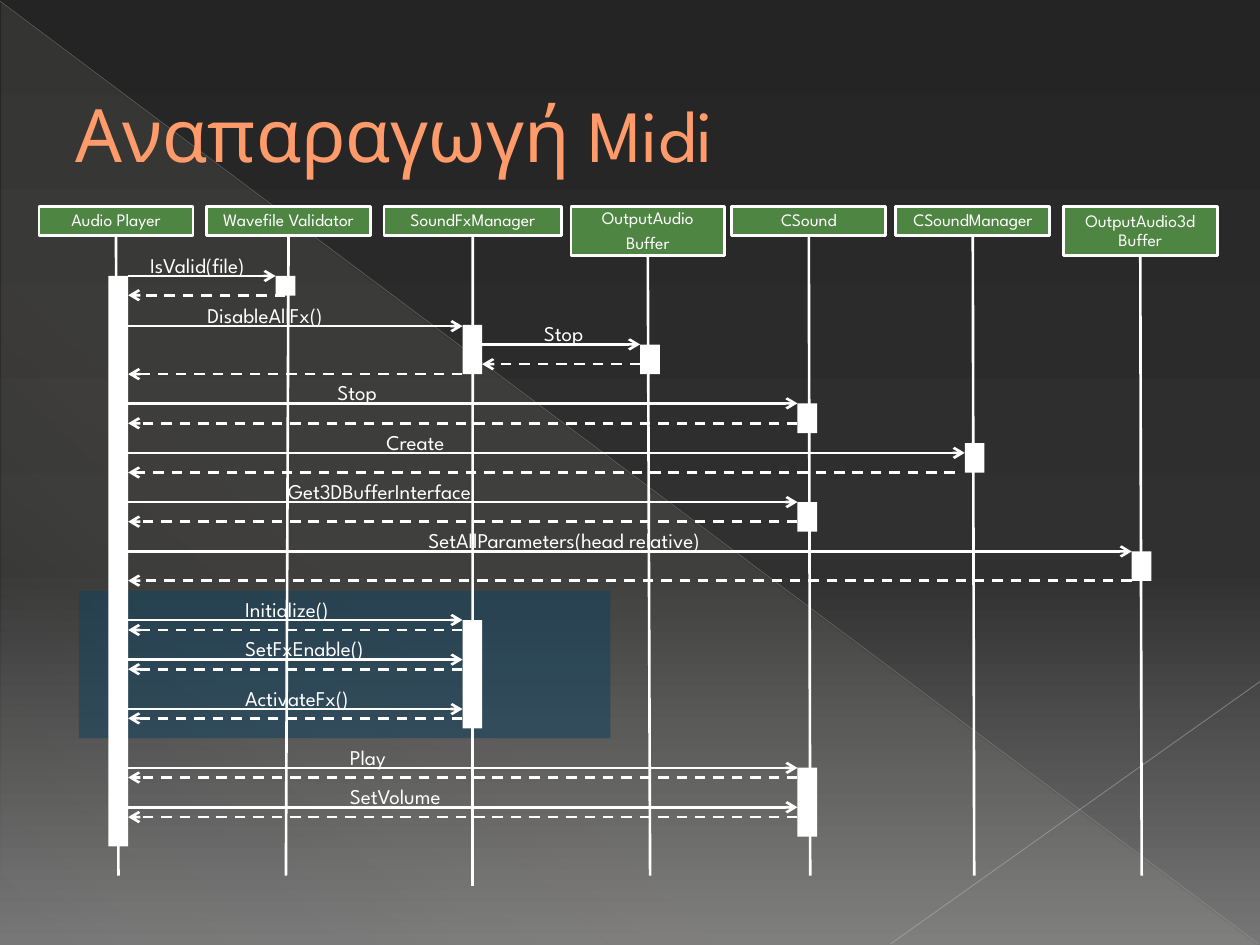
"""Sequence diagram of MIDI playback on a dark gradient slide."""
from dataclasses import dataclass
from lxml import etree
from pptx import Presentation
from pptx import util as u
from pptx.dml.color import RGBColor
from pptx.enum import dml, shapes, text
from pptx.oxml.ns import qn

COLORS = {"text": "FFFFFF", "title": "FF9B6A", "box": "4E8542", "panel": "14425D",
          "veil": "E3DED1", "diagonal": "B6B6B6", "corner": "BFBFBF",
          "top": "242424", "middle": "303030", "bottom": "767676"}
FONT = "League Spartan"
HEAD_TOP, BAR_W, LABEL_RISE, LABEL_H = 118.1, 11.25, 17, 21.6


@dataclass
class Participant:
    name: str
    left: float
    width: float
    bar_x: float
    foot_x: float
    bars: list[tuple[float, float]]
    height: float = 16.6
    foot_y: float = 500.4


@dataclass
class Message:
    label: str
    label_x: float
    label_w: float
    target: str
    y: float
    reply_y: float
    source: str = "player"
    start_shift: float = 0
    reply_shift: float = 0


PARTICIPANTS = {
    "player": Participant("Audio Player", 22.3, 88, 62, 67.7, [(157.7, 326)]),
    "validator": Participant("Wavefile Validator", 118.1, 93.6, 157.5, 163.4, [(157.7, 11.25)]),
    "fx": Participant("SoundFxManager", 219.5, 101.3, 264.3, 270,
                      [(185.7, 28.1), (354.4, 61.9)], foot_y=506.2),
    "buffer": Participant("OutputAudio\nBuffer", 326.2, 88, 365.8, 371.5,
                          [(196.9, 16.9)], height=28.1),
    "sound": Participant("CSound", 418.2, 88, 455.7, 463,
                         [(230.6, 16.9), (286.9, 16.9), (438.7, 39.4)]),
    "manager": Participant("CSoundManager", 511.9, 88, 551.3, 556.7, [(253.2, 16.9)]),
    "buffer3d": Participant("OutputAudio3d Buffer", 607.6, 88, 646.7, 652.4,
                            [(315.1, 16.9)], height=28.1),
}
MESSAGES = [
    Message("IsValid(file)", 78.7, 77, "validator", 157.7, 168.7, reply_shift=5.6),
    Message("DisableAllFx()", 111.4, 91.4, "fx", 186.4, 213.8),
    Message("Stop", 303.7, 41, "buffer", 196.8, 208.1, source="fx"),
    Message("Stop", 185.7, 56.2, "sound", 230.5, 241.9),
    Message("Create", 213.7, 56.2, "manager", 258.8, 270, reply_shift=-5.6),
    Message("Get3DBufferInterface", 157.5, 202.3, "sound", 286.9, 298.1),
    Message("SetAllParameters(head relative)", 237.7, 243.4, "buffer3d", 315.1, 331.8,
            start_shift=-5.6),
    Message("Initialize()", 133, 68.4, "fx", 354.3, 360),
    Message("SetFxEnable()", 133, 93.6, "fx", 376.9, 382.4),
    Message("ActivateFx()", 133, 85.7, "fx", 405.2, 410.5),
    Message("Play", 192.8, 38.9, "sound", 438.8, 444.3),
    Message("SetVolume", 192.8, 77.8, "sound", 461.3, 466.9),
]


def rgb(name: str) -> RGBColor:
    """Return a named colour."""
    return RGBColor.from_string(COLORS[name])


def add_alpha(el, percent: float) -> None:
    """Make every colour under an element translucent."""
    for clr in el.iter(qn("a:srgbClr")):
        etree.SubElement(clr, qn("a:alpha"), val=str(int(percent * 1000)))


def set_gradient(props, stops: list[tuple[int, str, int]], angle: int) -> None:
    """Replace the solid fill in a property element by a linear gradient."""
    grad = etree.Element(qn("a:gradFill"), rotWithShape="1")
    lst = etree.SubElement(grad, qn("a:gsLst"))
    for pos, color, opacity in stops:
        gs = etree.SubElement(lst, qn("a:gs"), pos=str(pos * 1000))
        etree.SubElement(gs, qn("a:srgbClr"), val=COLORS[color])
        if opacity < 100:
            add_alpha(gs, opacity)
    etree.SubElement(grad, qn("a:lin"), ang=str(angle * 60000), scaled="0")
    props.replace(props.find(qn("a:solidFill")), grad)


def add_block(s, x: float, y: float, w: float, h: float, fill: str,
              kind=shapes.MSO_SHAPE.RECTANGLE, line: str = ""):
    """Add a filled shape, outlined on request."""
    sp = s.shapes.add_shape(kind, u.Pt(x), u.Pt(y), u.Pt(w), u.Pt(h))
    sp.shadow.inherit = False
    sp.fill.solid()
    sp.fill.fore_color.rgb = rgb(fill)
    if line:
        sp.line.color.rgb = rgb(line)
        sp.line.width = u.Pt(1.5)
    else:
        sp.line.fill.background()
    return sp


def add_line(s, x1: float, y1: float, x2: float, y2: float, color: str = "text",
             width: float = 1.5, dashed: bool = False, arrow: bool = False,
             opacity: int = 100) -> None:
    """Add a straight line, optionally dashed, arrowed or translucent."""
    c = s.shapes.add_connector(shapes.MSO_CONNECTOR.STRAIGHT,
                               u.Pt(x1), u.Pt(y1), u.Pt(x2), u.Pt(y2))
    c.line.color.rgb = rgb(color)
    c.line.width = u.Pt(width)
    if dashed:
        c.line.dash_style = dml.MSO_LINE.DASH
    props = c._element.spPr
    ln = props.find(qn("a:ln"))
    if arrow:
        etree.SubElement(ln, qn("a:tailEnd"), type="arrow")
    if opacity < 100:
        add_alpha(ln, opacity)
    etree.SubElement(props, qn("a:effectLst"))


def write(sp, content: str, size: float, color: str = "text", align=text.PP_ALIGN.LEFT,
          anchor=text.MSO_ANCHOR.TOP, insets: tuple[float, float] = (7.2, 3.6),
          spacing: float = 1, after: float = 0) -> None:
    """Write formatted paragraphs into a shape."""
    tf = sp.text_frame
    tf.word_wrap = True
    tf.vertical_anchor = anchor
    tf.margin_left = tf.margin_right = u.Pt(insets[0])
    tf.margin_top = tf.margin_bottom = u.Pt(insets[1])
    for i, line in enumerate(content.split("\n")):
        p = tf.add_paragraph() if i else tf.paragraphs[0]
        p.alignment, p.line_spacing, p.space_after = align, spacing, u.Pt(after)
        r = p.add_run()
        r.text = line
        r.font.name, r.font.size, r.font.color.rgb = FONT, u.Pt(size), rgb(color)


def add_text(s, x: float, y: float, w: float, h: float, content: str, size: float,
             **fmt) -> None:
    """Add a text box."""
    write(s.shapes.add_textbox(u.Pt(x), u.Pt(y), u.Pt(w), u.Pt(h)), content, size, **fmt)


def draw_backdrop(s) -> None:
    """Draw the gradient background with its diagonals."""
    s.background.fill.solid()
    set_gradient(s._element.cSld.find(qn("p:bg")).find(qn("p:bgPr")),
                 [(0, "top", 100), (60, "middle", 100), (100, "bottom", 100)], 90)
    sp = add_block(s, 0.7, 1.4, 718.6, 538.6, "veil", shapes.MSO_SHAPE.RIGHT_TRIANGLE)
    set_gradient(sp._element.spPr, [(0, "veil", 10), (70, "veil", 8), (100, "veil", 1)], 133)
    add_line(s, 0, 0.7, 719.3, 539.3, "diagonal", 0.39, opacity=35)
    add_line(s, 720, 389.5, 509, 539.3, "corner", 0.47, opacity=45)


def draw_participant(s, who: Participant) -> None:
    """Draw a heading box, its lifeline and its activation bars."""
    sp = add_block(s, who.left, HEAD_TOP, who.width, who.height, "box", line="text")
    write(sp, who.name, 10, align=text.PP_ALIGN.CENTER, anchor=text.MSO_ANCHOR.MIDDLE,
          insets=(1.4, 0.7), spacing=0.9, after=3.5)
    add_line(s, who.left + who.width / 2, HEAD_TOP + who.height, who.foot_x, who.foot_y)
    for top, height in who.bars:
        add_block(s, who.bar_x, top, BAR_W, height, "text")


def draw_message(s, m: Message) -> None:
    """Draw a call arrow with its label and the dashed reply."""
    start = PARTICIPANTS[m.source].bar_x + BAR_W
    end = PARTICIPANTS[m.target].bar_x
    add_line(s, start + m.start_shift, m.y, end, m.y, arrow=True)
    add_text(s, m.label_x, m.y - LABEL_RISE, m.label_w, LABEL_H, m.label, 12)
    add_line(s, end + m.reply_shift, m.reply_y, start, m.reply_y, dashed=True, arrow=True)


def main() -> None:
    """Build and save the slide."""
    prs = Presentation()
    prs.slide_width, prs.slide_height = u.Pt(720), u.Pt(540)
    s = prs.slides.add_slide(prs.slide_layouts[6])
    draw_backdrop(s)
    add_alpha(add_block(s, 45, 337.5, 303.8, 84.4, "panel")._element.spPr, 57)
    add_text(s, 36, 21, 648, 110, "Αναπαραγωγή Midi", 42, color="title",
             anchor=text.MSO_ANCHOR.MIDDLE)
    for who in PARTICIPANTS.values():
        draw_participant(s, who)
    for m in MESSAGES:
        draw_message(s, m)
    prs.save("out.pptx")


main()
